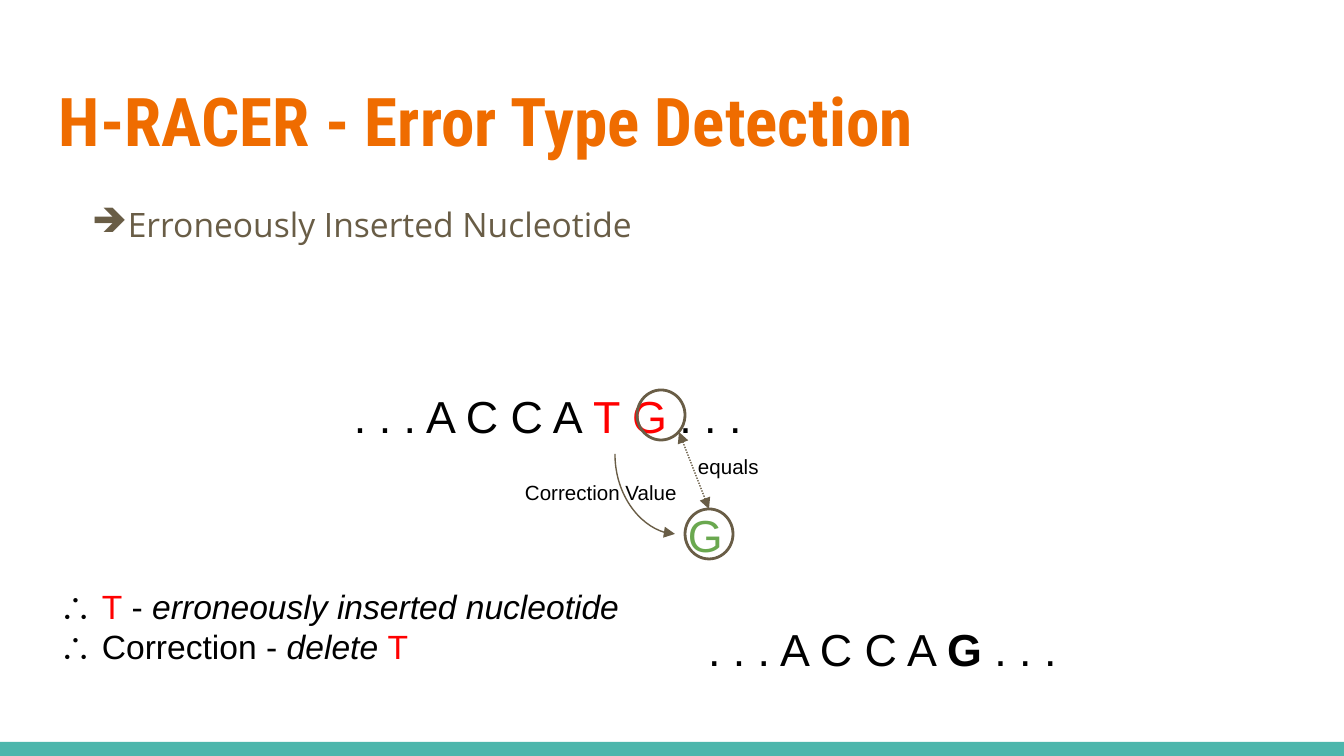
"""Build the slide on detecting an erroneously inserted nucleotide."""
from dataclasses import dataclass

from lxml import etree
from pptx import Presentation
from pptx.dml.color import RGBColor
from pptx.enum.dml import MSO_LINE
from pptx.enum.shapes import MSO_CONNECTOR, MSO_SHAPE
from pptx.enum.text import MSO_ANCHOR
from pptx.oxml.ns import qn
from pptx.util import Emu, Pt

STRAIGHT = MSO_CONNECTOR.STRAIGHT
CURVE = MSO_CONNECTOR.CURVE
DOTTED = MSO_LINE.ROUND_DOT
OVAL = MSO_SHAPE.OVAL
RECTANGLE = MSO_SHAPE.RECTANGLE
TOP = MSO_ANCHOR.TOP

BLACK = RGBColor(0x00, 0x00, 0x00)
RED = RGBColor(0xFF, 0x00, 0x00)
GREEN = RGBColor(0x6A, 0xA8, 0x4F)
ORANGE = RGBColor(0xEF, 0x6C, 0x00)
BROWN = RGBColor(0x69, 0x5D, 0x46)
TEAL = RGBColor(0x4D, 0xB6, 0xAC)

WIDTH, HEIGHT = 1344, 756
EMU_PER_PIXEL = 914400 * 10 / WIDTH
INSET = 13
CIRCLE_SIZE = (48, 50)


@dataclass(frozen=True)
class Span:
    text: str
    color: RGBColor = BLACK
    bold: bool = False
    italic: bool = False


@dataclass(frozen=True)
class Label:
    area: tuple[int, int, int, int]
    size: int
    paras: tuple[tuple[Span, ...], ...]
    font: str = "Arial"
    bullet: str = ""


@dataclass(frozen=True)
class Arrow:
    kind: int
    start: tuple[int, int]
    end: tuple[int, int]
    ends: tuple[str, ...]
    dotted: bool = False
    preset: str = ""
    turn: int = 0


LABELS = (
    Label((46, 66, 1252, 103), 36,
          ((Span("H-RACER - Error Type Detection", ORANGE, bold=True),),),
          "Roboto Condensed"),
    Label((46, 185, 1252, 485), 18,
          ((Span("Erroneously Inserted Nucleotide", BROWN),),),
          "Open Sans", "➔"),
    Label((341, 376, 620, 118), 24,
          ((Span(". . . A C C A "), Span("T G", RED), Span(" . . .")),)),
    Label((675, 495, 69, 78), 24, ((Span("G", GREEN),),)),
    Label((512, 468, 218, 50), 11, ((Span("Correction Value"),),)),
    Label((685, 442, 218, 50), 11, ((Span("equals"),),)),
    Label((46, 573, 679, 109), 18, (
        (Span("∴ "), Span("T", RED), Span(" - "),
         Span("erroneously inserted nucleotide", italic=True)),
        (Span("∴ Correction - "), Span("delete ", italic=True),
         Span("T", RED)),
    )),
    Label((695, 609, 620, 118), 24,
          ((Span(". . . A C C A "), Span("G", bold=True), Span(" . . .")),)),
)
CIRCLES = ((637, 390), (685, 509))
ARROWS = (
    Arrow(CURVE, (685, 464), (605, 524), ("tailEnd",),
          preset="curvedConnector2", turn=270),
    Arrow(STRAIGHT, (679, 432), (709, 509), ("headEnd", "tailEnd"),
          dotted=True),
)


def px(length: int) -> Emu:
    """Turn pixels into EMU."""
    return Emu(round(length * EMU_PER_PIXEL))


def set_all(target: object, values: dict) -> None:
    """Set each named attribute of the target."""
    for name, value in values.items():
        setattr(target, name, value)


def add_bullet(para, mark: str) -> None:
    """Give a paragraph a bullet, a hanging indent and open spacing."""
    set_all(para, {"line_spacing": 1.15, "space_after": Pt(16)})
    properties = para._p.get_or_add_pPr()
    properties.set("marL", str(px(67)))
    properties.set("indent", str(-px(34)))
    color = etree.SubElement(properties, qn("a:buClr"))
    etree.SubElement(color, qn("a:srgbClr"), val=str(BROWN))
    etree.SubElement(properties, qn("a:buChar"), char=mark)


def add_label(page, label: Label) -> None:
    """Add one text box with its styled spans."""
    box = page.shapes.add_textbox(*map(px, label.area))
    frame = box.text_frame
    margins = {f"margin_{side}": px(INSET)
               for side in ("left", "top", "right", "bottom")}
    set_all(frame, {"word_wrap": True, "vertical_anchor": TOP, **margins})
    for index, spans in enumerate(label.paras):
        para = frame.add_paragraph() if index else frame.paragraphs[0]
        if label.bullet:
            add_bullet(para, label.bullet)
        for span in spans:
            run = para.add_run()
            run.text = span.text
            set_all(run.font, {"name": label.font, "size": Pt(label.size),
                               "bold": span.bold, "italic": span.italic})
            run.font.color.rgb = span.color


def add_footer(page) -> None:
    """Add the coloured band along the bottom edge."""
    band = page.shapes.add_shape(
        RECTANGLE, *map(px, (0, 742, WIDTH, HEIGHT - 742)))
    band.shadow.inherit = False
    band.fill.solid()
    band.fill.fore_color.rgb = TEAL
    band.line.fill.background()


def add_circle(page, corner: tuple[int, int]) -> None:
    """Ring one nucleotide."""
    circle = page.shapes.add_shape(OVAL, *map(px, corner + CIRCLE_SIZE))
    circle.shadow.inherit = False
    circle.fill.background()
    circle.line.color.rgb = BROWN
    circle.line.width = Pt(1.5)


def add_arrow(page, arrow: Arrow) -> None:
    """Add a connector with triangular arrowheads."""
    connector = page.shapes.add_connector(
        arrow.kind, *map(px, arrow.start + arrow.end))
    line = connector.line
    line.color.rgb = BROWN
    line.width = Pt(0.75)
    if arrow.dotted:
        line.dash_style = DOTTED
    properties = connector._element.spPr
    outline = properties.find(qn("a:ln"))
    for end in arrow.ends:
        etree.SubElement(outline, qn(f"a:{end}"),
                         type="triangle", w="med", len="med")
    etree.SubElement(properties, qn("a:effectLst"))
    if arrow.preset:
        properties.find(qn("a:prstGeom")).set("prst", arrow.preset)
    if arrow.turn:
        properties.find(qn("a:xfrm")).set("rot", str(arrow.turn * 60000))


def main() -> None:
    """Build and save the deck."""
    deck = Presentation()
    set_all(deck, {"slide_width": px(WIDTH), "slide_height": px(HEIGHT)})
    page = deck.slides.add_slide(deck.slide_layouts[6])
    add_footer(page)
    for label in LABELS:
        add_label(page, label)
    for corner in CIRCLES:
        add_circle(page, corner)
    for arrow in ARROWS:
        add_arrow(page, arrow)
    deck.save("out.pptx")


main()
